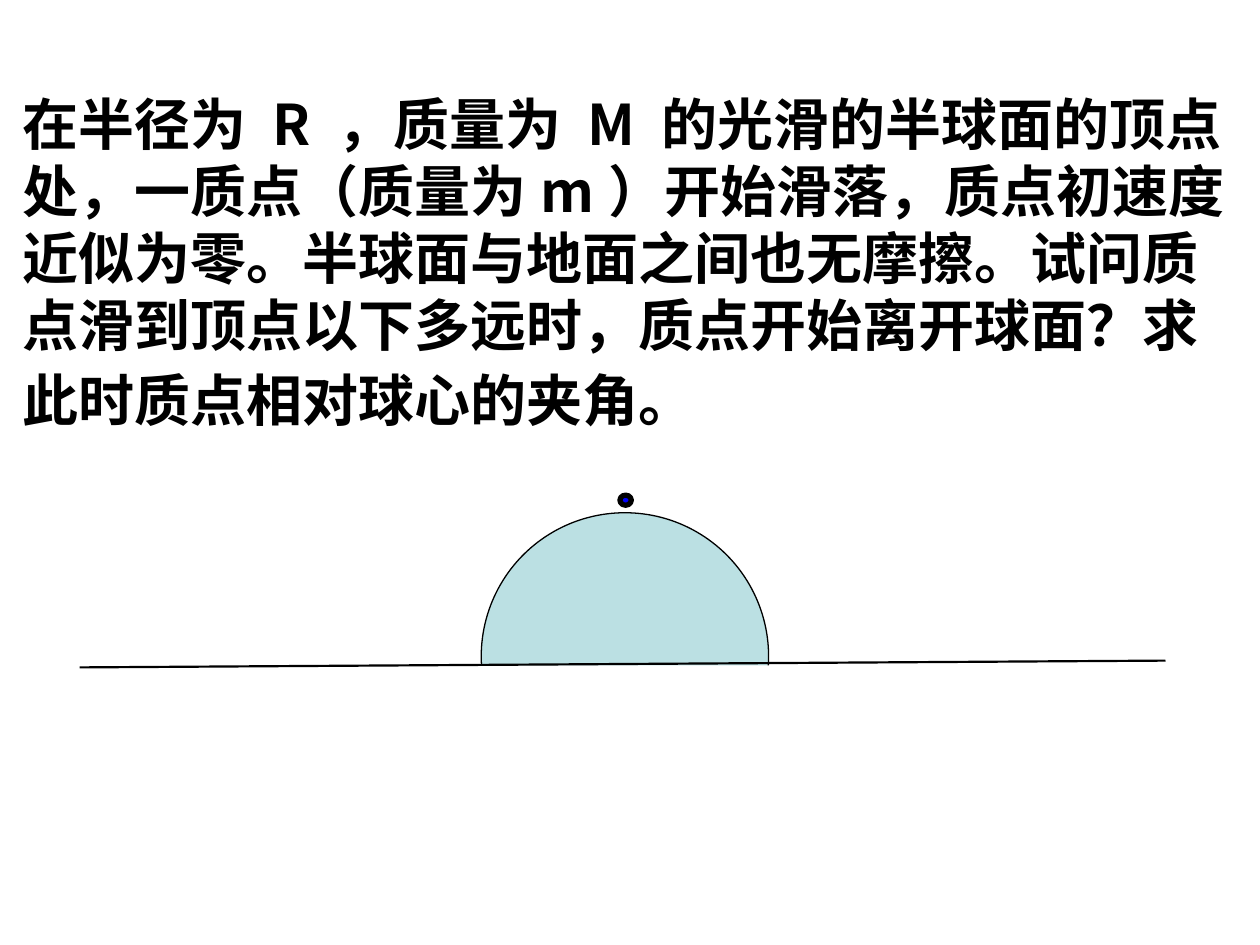
from lxml import etree
from pptx import Presentation
from pptx.dml.color import RGBColor as RGB
from pptx.enum.shapes import MSO_CONNECTOR as CONN, MSO_SHAPE as SHAPE
from pptx.oxml.ns import qn
from pptx.util import Pt

THEME = dict(
    ink=RGB(0, 0, 0), paper=RGB(255, 255, 255),
    dome=RGB(0xBB, 0xE0, 0xE3), particle=RGB(0, 0, 255),
    body_size=32, tail_size=36,
    body_font="Noto Sans CJK SC", tail_font="TeX Gyre Bonum",
)


def add_run(p, text, *, font, size, color, bold=False):
    r = p.add_run()
    r.text = text
    r.font.name, r.font.size, r.font.bold = font, Pt(size), bold
    r.font.color.rgb = color
    # Chinese glyphs take the East Asian typeface
    ea = etree.SubElement(r.font._element, qn("a:ea"))
    ea.set("typeface", font)


prs = Presentation()
prs.slide_width, prs.slide_height = Pt(720), Pt(540)
s = prs.slides.add_slide(prs.slide_layouts[6])

# Problem statement
tf = s.shapes.add_textbox(Pt(5.76), Pt(47.52), Pt(714.24), Pt(204.48)).text_frame
tf.word_wrap = True
p = tf.paragraphs[0]
add_run(p, "在半径为 R ，质量为 M 的光滑的半球面的顶点处，一质点（质量为m）开始滑落，"
           "质点初速度近似为零。半球面与地面之间也无摩擦。试问质点滑到顶点以下多远时，"
           "质点开始离开球面？求此时质点相对球心的夹角。",
        font=THEME["body_font"], size=THEME["body_size"], color=THEME["ink"], bold=True)
# The larger closing space sets the height of the last line
add_run(p, " ", font=THEME["tail_font"], size=THEME["tail_size"], color=THEME["particle"])

# Sphere, particle, and the cover that hides the lower half of the sphere
for kind, box, fill, width in [
    (SHAPE.OVAL, (275, 293, 164.2, 164.2), "dome", 0.75),
    (SHAPE.OVAL, (354.24, 282.96, 6.48, 5.76), "particle", 3),
    (SHAPE.RECTANGLE, (130.3, 380.2, 465.1, 90.7), "paper", None),
]:
    sp = s.shapes.add_shape(kind, *map(Pt, box))
    sp.shadow.inherit = False
    sp.fill.solid()
    sp.fill.fore_color.rgb = THEME[fill]
    if width is None:
        sp.line.fill.background()
    else:
        sp.line.color.rgb = THEME["ink"]
        sp.line.width = Pt(width)

# Ground
ground = s.shapes.add_connector(CONN.STRAIGHT, Pt(45.5), Pt(381.4), Pt(666), Pt(377.5))
ground.line.color.rgb = THEME["ink"]
ground.line.width = Pt(1.25)
etree.SubElement(ground._element.spPr, qn("a:effectLst"))

prs.save("out.pptx")
